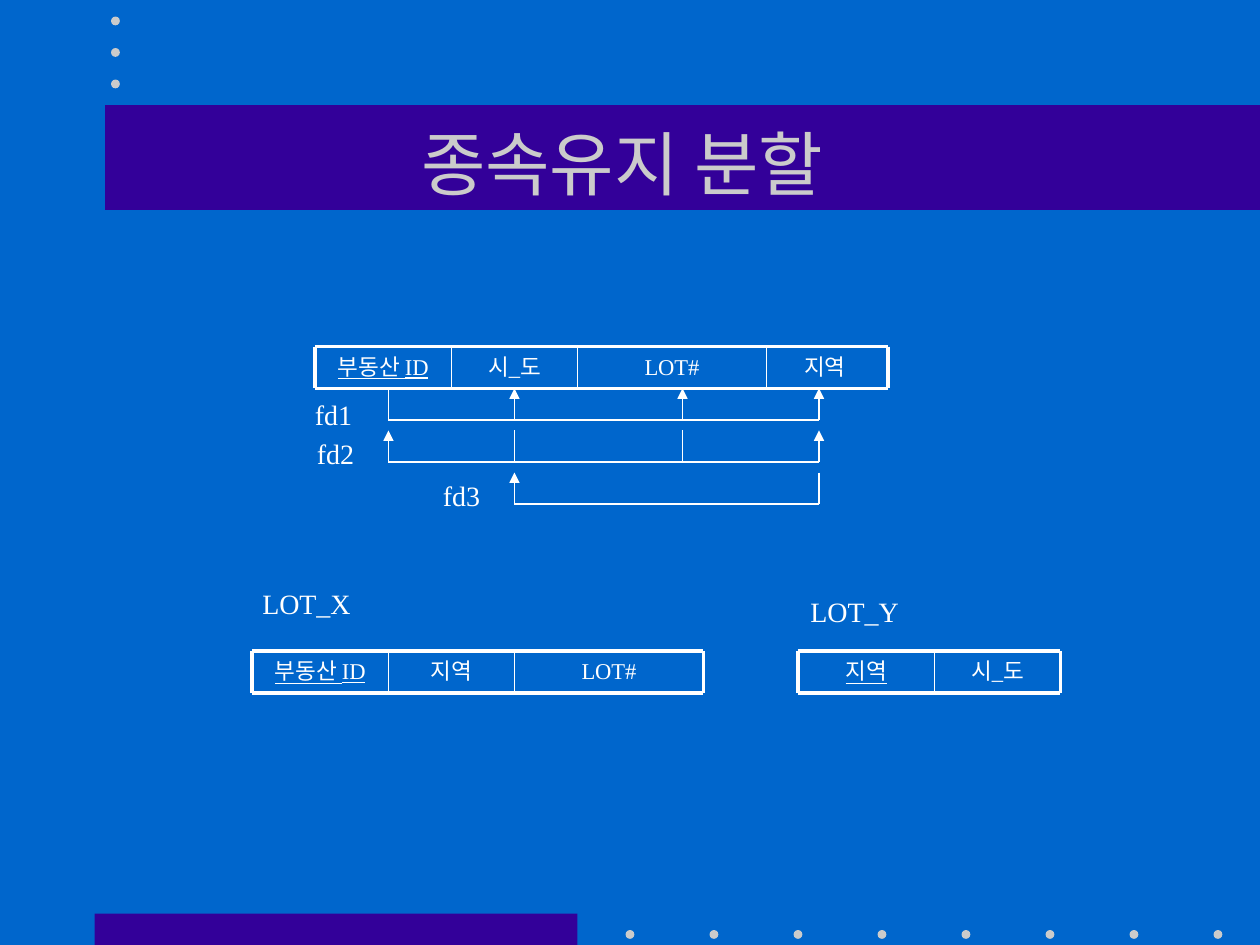
from dataclasses import dataclass

from lxml.etree import SubElement
from pptx import Presentation
from pptx.dml.color import RGBColor as RGB
from pptx.enum.shapes import MSO_CONNECTOR as Conn, MSO_SHAPE as Shape
from pptx.enum.text import MSO_ANCHOR as Anchor, PP_ALIGN as Align
from pptx.oxml.ns import qn
from pptx.util import Inches, Pt


@dataclass(frozen=True)
class Theme:
    back: RGB = RGB(0x00, 0x66, 0xCC)
    band: RGB = RGB(0x33, 0x00, 0x99)
    soft: RGB = RGB(0xCB, 0xCB, 0xCB)
    ink: RGB = RGB(0xFF, 0xFF, 0xFF)
    font: str = "Times New Roman"
    title: float = 40
    label: float = 16
    cell: float = 12.9
    frame: float = 2.25
    divider: float = 1
    link: float = 0.75


THEME = Theme()
COLS, ROWS = 120, 90
DOT = 0.84
CELL_H = 4
LABEL_H = 4.44


def grid(*units):
    return [Inches(u / 12) for u in units]


def add_block(s, kind, box, color):
    sp = s.shapes.add_shape(kind, *grid(*box))
    sp.shadow.inherit = False
    sp.fill.solid()
    sp.fill.fore_color.rgb = color
    sp.line.fill.background()


def add_dot(s, x, y):
    add_block(s, Shape.OVAL, (x - DOT / 2, y - DOT / 2, DOT, DOT), THEME.soft)


def add_text(s, box, text, size, color=THEME.ink, align=Align.LEFT,
             anchor=Anchor.TOP, underline=None):
    tf = s.shapes.add_textbox(*grid(*box)).text_frame
    tf.word_wrap = True
    tf.vertical_anchor = anchor
    p = tf.paragraphs[0]
    p.text = text
    p.alignment = align
    p.font.name = THEME.font
    p.font.size = Pt(size)
    p.font.color.rgb = color
    p.font.underline = underline


def add_line(s, start, end, width, arrow=False):
    c = s.shapes.add_connector(Conn.STRAIGHT, *grid(*start, *end))
    c.line.color.rgb = THEME.ink
    c.line.width = Pt(width)
    pr = c._element.spPr
    if arrow:
        SubElement(pr.find(qn("a:ln")), qn("a:tailEnd"), type="triangle")
    SubElement(pr, qn("a:effectLst"))


def add_relation(s, x, y, fields):
    edges = [x]
    for i, (name, width) in enumerate(fields):
        add_text(s, (edges[-1], y, width, CELL_H), name, THEME.cell,
                 align=Align.CENTER, underline=True if i == 0 else None)
        edges.append(edges[-1] + width)
    bottom = y + CELL_H
    for row in (y, bottom):
        add_line(s, (x, row), (edges[-1], row), THEME.frame)
    for edge in edges:
        outer = edge in (x, edges[-1])
        add_line(s, (edge, y), (edge, bottom),
                 THEME.frame if outer else THEME.divider)


def add_dependency(s, top, sources, targets):
    base = top + 3
    ends = sources + targets
    add_line(s, (min(ends), base), (max(ends), base), THEME.link)
    for x in sources:
        add_line(s, (x, top), (x, base), THEME.link)
    for x in targets:
        add_line(s, (x, base), (x, top), THEME.link, arrow=True)


def add_decor(s):
    add_block(s, Shape.RECTANGLE, (9, 87, 46, 3), THEME.band)
    add_block(s, Shape.RECTANGLE, (10, 10, COLS - 10, 10), THEME.band)
    for i in range(8):
        add_dot(s, 60 + 8 * i, 89)
    for i in range(3):
        add_dot(s, 11, 2 + 3 * i)


def main():
    prs = Presentation()
    prs.slide_width, prs.slide_height = grid(COLS, ROWS)
    s = prs.slides.add_slide(prs.slide_layouts[6])
    s.background.fill.solid()
    s.background.fill.fore_color.rgb = THEME.back
    add_decor(s)
    add_text(s, (9, 8, 102, 15), "종속유지 분할 ", THEME.title, THEME.soft,
             Align.CENTER, Anchor.MIDDLE)

    add_relation(s, 30, 33, [("부동산 ID", 13), ("시_도", 12),
                             ("LOT#", 18), ("지역 ", 11.6)])
    add_relation(s, 24, 62, [("부동산 ID", 13), ("지역", 12), ("LOT#", 18)])
    add_relation(s, 76, 62, [("지역", 13), ("시_도", 12)])

    estate, city, lot, area = 37, 49, 65, 78
    add_dependency(s, 37, [estate], [city, lot, area])
    add_dependency(s, 41, [city, lot], [estate, area])
    add_dependency(s, 45, [area], [city])

    for text, x, y, width in [("fd1", 28.8, 37.3, 6.3), ("fd2", 29, 41, 8),
                              ("fd3", 41, 45, 7), ("LOT_X", 23.8, 55.3, 12.2),
                              ("LOT_Y", 76, 56, 12.2)]:
        add_text(s, (x, y, width, LABEL_H), text, THEME.label)
    prs.save("out.pptx")


if __name__ == "__main__":
    main()
